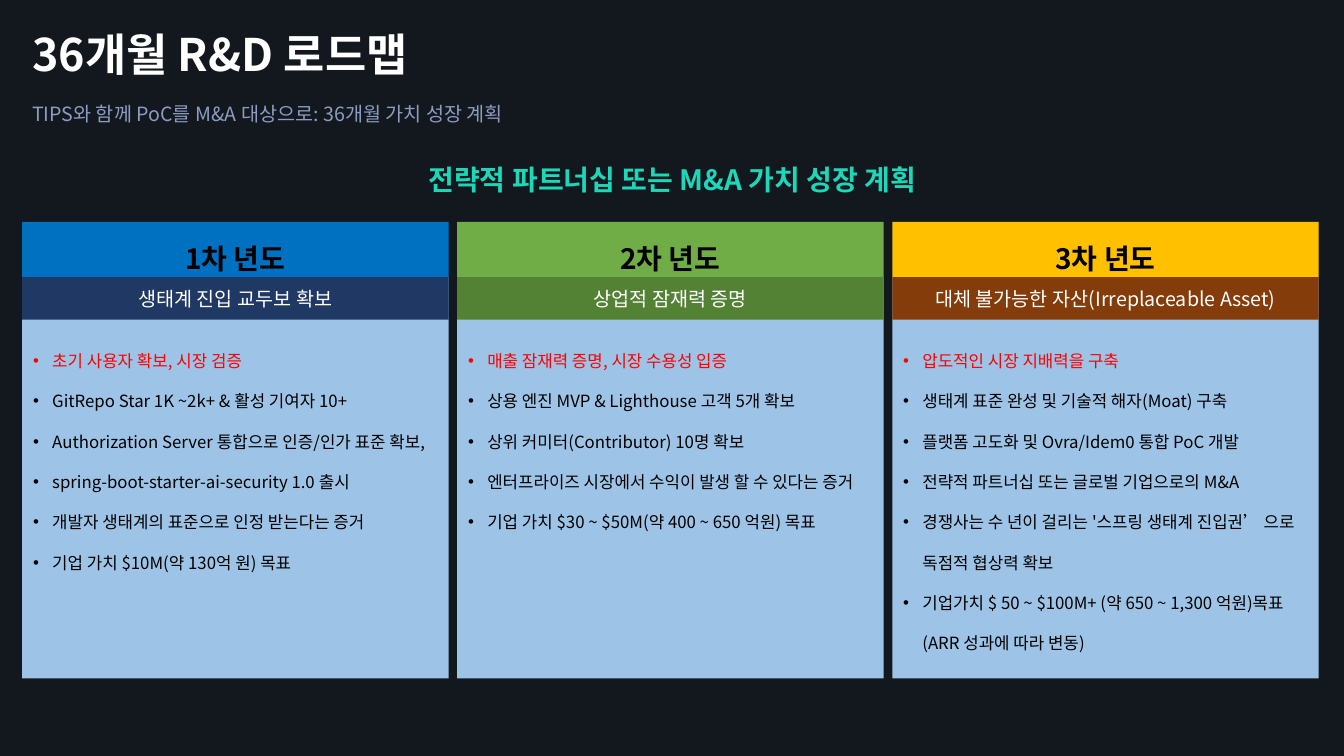
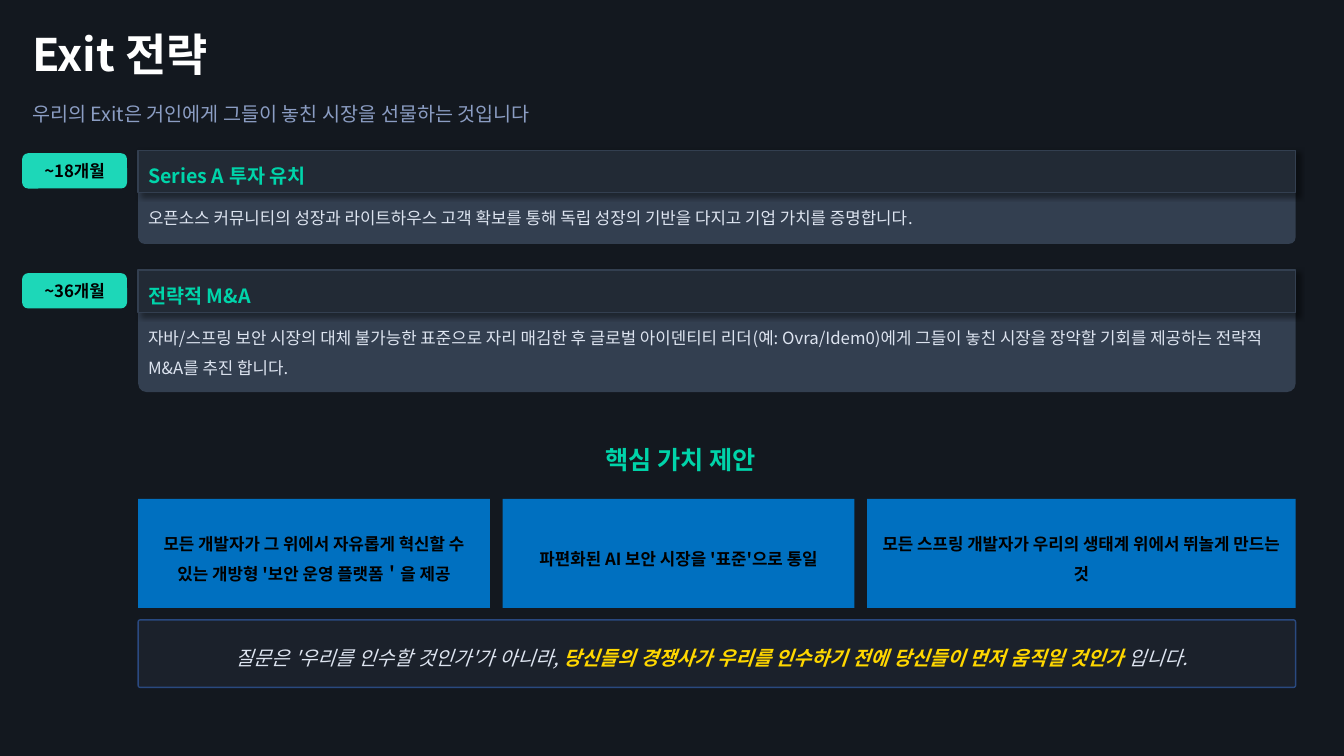
import pptx
import pptx.util
import pptx.dml.color
import pptx.enum.shapes
import pptx.enum.text
import pptx.oxml
import pptx.oxml.ns
from dataclasses import dataclass
from itertools import accumulate

Inches, Pt = pptx.util.Inches, pptx.util.Pt
RECT = pptx.enum.shapes.MSO_SHAPE.RECTANGLE
ROUND = pptx.enum.shapes.MSO_SHAPE.ROUNDED_RECTANGLE
ALIGN = pptx.enum.text.PP_ALIGN
ANCHOR = pptx.enum.text.MSO_ANCHOR
AUTO = pptx.enum.text.MSO_AUTO_SIZE
qn = pptx.oxml.ns.qn


@dataclass(frozen=True)
class Theme:
    font: str = "Noto Sans CJK KR"
    back: str = "13181F"
    white: str = "FFFFFF"
    black: str = "000000"
    muted: str = "8B9DC3"
    teal: str = "1DD7B8"
    green: str = "00D4AA"
    pale: str = "DDE4F0"
    gold: str = "FFD700"
    red: str = "FF0000"
    blue: str = "0070C0"
    sky: str = "9DC3E6"
    slate: str = "333F50"
    dark: str = "222A35"
    outline: str = "2F5597"
    title: int = 32
    heading: int = 20
    section: int = 18
    label: int = 14
    body: int = 12


T = Theme()
WIDTH, HEIGHT = 13.33, 7.5
LEFT = 0.22

ROADMAP = {
    "title": "36개월 R&D 로드맵",
    "subtitle": ("TIPS와 함께 PoC를 M&A 대상으로: 36개월 가치 성장 계획", 4.93),
    "heading": "전략적 파트너십 또는 M&A 가치 성장 계획",
    "years": [
        ("1차 년도", "생태계 진입 교두보 확보", T.blue, "203864", [
            "초기 사용자 확보, 시장 검증",
            "GitRepo Star 1K ~2k+ & 활성 기여자 10+",
            "Authorization Server 통합으로 인증/인가 표준 확보,",
            "spring-boot-starter-ai-security 1.0 출시",
            "개발자 생태계의 표준으로 인정 받는다는 증거",
            "기업 가치 $10M(약 130억 원) 목표"]),
        ("2차 년도", "상업적 잠재력 증명", "70AD47", "548235", [
            "매출 잠재력 증명, 시장 수용성 입증",
            "상용 엔진 MVP & Lighthouse 고객 5개 확보",
            "상위 커미터(Contributor) 10명 확보",
            "엔터프라이즈 시장에서 수익이 발생 할 수 있다는 증거",
            "기업 가치 $30 ~ $50M(약 400 ~ 650 억원) 목표"]),
        ("3차 년도", "대체 불가능한 자산(Irreplaceable Asset)", "FFC000", "843C0B", [
            "압도적인 시장 지배력을 구축",
            "생태계 표준 완성 및 기술적 해자(Moat) 구축",
            "플랫폼 고도화 및 Ovra/Idem0 통합 PoC 개발",
            "전략적 파트너십 또는 글로벌 기업으로의 M&A",
            "경쟁사는 수 년이 걸리는 '스프링 생태계 진입권’ 으로 독점적 협상력 확보",
            "기업가치 $ 50 ~ $100M+ (약 650 ~ 1,300 억원)목표 (ARR 성과에 따라 변동)"]),
    ],
}

EXIT = {
    "title": "Exit 전략",
    "subtitle": ("우리의 Exit은 거인에게 그들이 놓친 시장을 선물하는 것입니다", 5.36),
    # badge, heading, body, top, height
    "milestones": [
        ("~18개월", "Series A 투자 유치",
         "오픈소스 커뮤니티의 성장과 라이트하우스 고객 확보를 통해 독립 성장의 "
         "기반을 다지고 기업 가치를 증명합니다.", 1.49, 0.93),
        ("~36개월", "전략적 M&A",
         "자바/스프링 보안 시장의 대체 불가능한 표준으로 자리 매김한 후 글로벌 "
         "아이덴티티 리더(예: Ovra/Idem0)에게 그들이 놓친 시장을 장악할 기회를 "
         "제공하는 전략적 M&A를 추진 합니다.", 2.68, 1.21),
    ],
    "heading": "핵심 가치 제안",
    "values": [
        ("모든 개발자가 그 위에서 자유롭게 혁신할 수 있는 개방형 "
         "'보안 운영 플랫폼＇을 제공", 3.49),
        ("파편화된 AI 보안 시장을 '표준'으로 통일", 3.49),
        ("모든 스프링 개발자가 우리의 생태계 위에서 뛰놀게 만드는 것", 4.25),
    ],
    "question": [
        "질문은 '우리를 인수할 것인가'가 아니라, ",
        ("당신들의 경쟁사가 우리를 인수하기 전에 당신들이 먼저 움직일 것인가",
         {"color": T.gold, "bold": True}),
        " 입니다.",
    ],
}


def rgb(color):
    return pptx.dml.color.RGBColor.from_string(color)


def sub(parent, tag, **attrs):
    el = parent.makeelement(qn(tag), {k: str(v) for k, v in attrs.items()})
    parent.append(el)
    return el


def set_alpha(fill_parent, percent):
    color = fill_parent.find(qn("a:solidFill"))[0]
    sub(color, "a:alpha", val=percent * 1000)


def write(s, *runs, size=T.body, color=T.black, bold=False, italic=False,
          align=ALIGN.LEFT, spacing=1.0, after=0, bullet=False):
    """Add one paragraph; a run is a string or (string, format changes)."""
    tf = s.text_frame
    p = tf.paragraphs[0]
    if p.runs:
        p = tf.add_paragraph()
    if bullet:
        pPr = p._p.get_or_add_pPr()
        pPr.set("marL", str(Inches(0.19)))
        pPr.set("indent", str(-Inches(0.19)))
        sub(pPr, "a:buFont", typeface="Arial")
        sub(pPr, "a:buChar", char="•")
    p.alignment, p.line_spacing, p.space_after = align, spacing, Pt(after)
    for run in runs:
        content, changes = (run, {}) if isinstance(run, str) else run
        look = {"color": color, "bold": bold, **changes}
        r = p.add_run()
        r.text = content
        r.font.size, r.font.bold, r.font.italic = Pt(size), look["bold"], italic
        r.font.color.rgb = rgb(look["color"])
        r.font.name = T.font
        sub(r._r.get_or_add_rPr(), "a:ea", typeface=T.font)


def text_box(slide, x, y, w, h, anchor=ANCHOR.TOP):
    s = slide.shapes.add_textbox(*map(Inches, (x, y, w, h)))
    tf = s.text_frame
    tf.word_wrap, tf.vertical_anchor = True, anchor
    tf.auto_size = AUTO.SHAPE_TO_FIT_TEXT
    return s


def box(slide, x, y, w, h, fill, kind=RECT, line=None, radius=None):
    s = slide.shapes.add_shape(kind, *map(Inches, (x, y, w, h)))
    s.shadow.inherit = False
    s.fill.solid()
    s.fill.fore_color.rgb = rgb(fill)
    if line:
        s.line.color.rgb = rgb(line)
        s.line.width = Pt(1)
    else:
        s.line.fill.background()
    if radius is not None:
        s.adjustments[0] = radius
    s.text_frame.word_wrap = True
    s.text_frame.vertical_anchor = ANCHOR.MIDDLE
    return s


def drop_shadow(s):
    effects = s._element.spPr.find(qn("a:effectLst"))
    shadow = sub(effects, "a:outerShdw", blurRad=Pt(4), dist=Pt(3),
                 dir=45 * 60000, algn="tl", rotWithShape=0)
    sub(sub(shadow, "a:srgbClr", val=T.black), "a:alpha", val=40000)


def columns(left, right, widths):
    """Left edges of columns that fill left to right with equal gaps."""
    gap = (right - left - sum(widths)) / (len(widths) - 1)
    return list(accumulate((w + gap for w in widths[:-1]), initial=left))


def add_slide(prs, content):
    slide = prs.slides.add_slide(prs.slide_layouts[6])
    write(text_box(slide, LEFT, 0.21, 5.23, 0.64, ANCHOR.BOTTOM),
          content["title"], size=T.title, color=T.white, bold=True, after=15)
    subtitle, width = content["subtitle"]
    write(text_box(slide, LEFT, 0.85, width, 0.42), subtitle,
          size=T.label, color=T.muted, spacing=1.5)
    return slide


def add_roadmap(prs):
    slide = add_slide(prs, ROADMAP)
    w, top, head, band, body = 4.23, 2.2, 0.55, 0.42, 3.98
    years = ROADMAP["years"]
    lefts = columns(LEFT, 13.08, [w] * len(years))
    for x, (year, goal, head_fill, band_fill, points) in zip(lefts, years):
        box(slide, x, top + head, w, body, T.sky)
        write(box(slide, x, top, w, head, head_fill), year, size=T.heading,
              bold=True, align=ALIGN.CENTER, spacing=1.5)
        write(box(slide, x, top + head, w, band, band_fill), goal,
              size=T.label, color=T.white, align=ALIGN.CENTER)
        s = text_box(slide, x + 0.01, 3.23, 4.13, 0.4 * len(points))
        for i, point in enumerate(points):
            write(s, point, color=T.black if i else T.red, spacing=2.0, bullet=True)
    write(text_box(slide, 4.13, 1.55, 5.08, 0.44, ANCHOR.BOTTOM),
          ROADMAP["heading"], size=T.heading, color=T.teal, bold=True,
          align=ALIGN.CENTER, after=15)


def add_exit(prs):
    slide = add_slide(prs, EXIT)
    x, w = 1.37, 11.48
    for badge, heading, body, y, h in EXIT["milestones"]:
        box(slide, x, y, w, h, T.slate, ROUND, radius=0.07)
        drop_shadow(box(slide, x, y, w, 0.42, T.dark, line=T.slate))
        write(box(slide, LEFT, y + 0.03, 1.04, 0.35, T.teal, ROUND), badge,
              bold=True, align=ALIGN.CENTER)
        s = text_box(slide, x, y - 0.03, w, h - 0.08)
        write(s, heading, size=T.label, color=T.green, bold=True,
              spacing=1.5, after=7.5)
        write(s, body, color=T.pale, spacing=1.5)

    frame = box(slide, x, 6.15, w, 0.67, T.slate, ROUND, T.outline, 0.03)
    set_alpha(frame._element.spPr, 25)
    set_alpha(frame._element.spPr.find(qn("a:ln")), 80)
    write(text_box(slide, x, 6.36, w - 0.1, 0.34), *EXIT["question"],
          size=T.label, color=T.pale, italic=True, align=ALIGN.CENTER, after=22.5)

    values = EXIT["values"]
    lefts = columns(x, x + w, [width for _, width in values])
    for left, (value, width) in zip(lefts, values):
        write(box(slide, left, 4.95, width, 1.08, T.blue), value, bold=True,
              align=ALIGN.CENTER, spacing=1.5)
    write(text_box(slide, 5.44, 4.36, 2.62, 0.4), EXIT["heading"],
          size=T.section, color=T.green, bold=True, align=ALIGN.CENTER)


def main():
    prs = pptx.Presentation()
    prs.slide_width, prs.slide_height = Inches(WIDTH), Inches(HEIGHT)
    back = prs.slide_master.background.fill
    back.solid()
    back.fore_color.rgb = rgb(T.back)
    add_roadmap(prs)
    add_exit(prs)
    prs.save("out.pptx")


if __name__ == "__main__":
    main()
